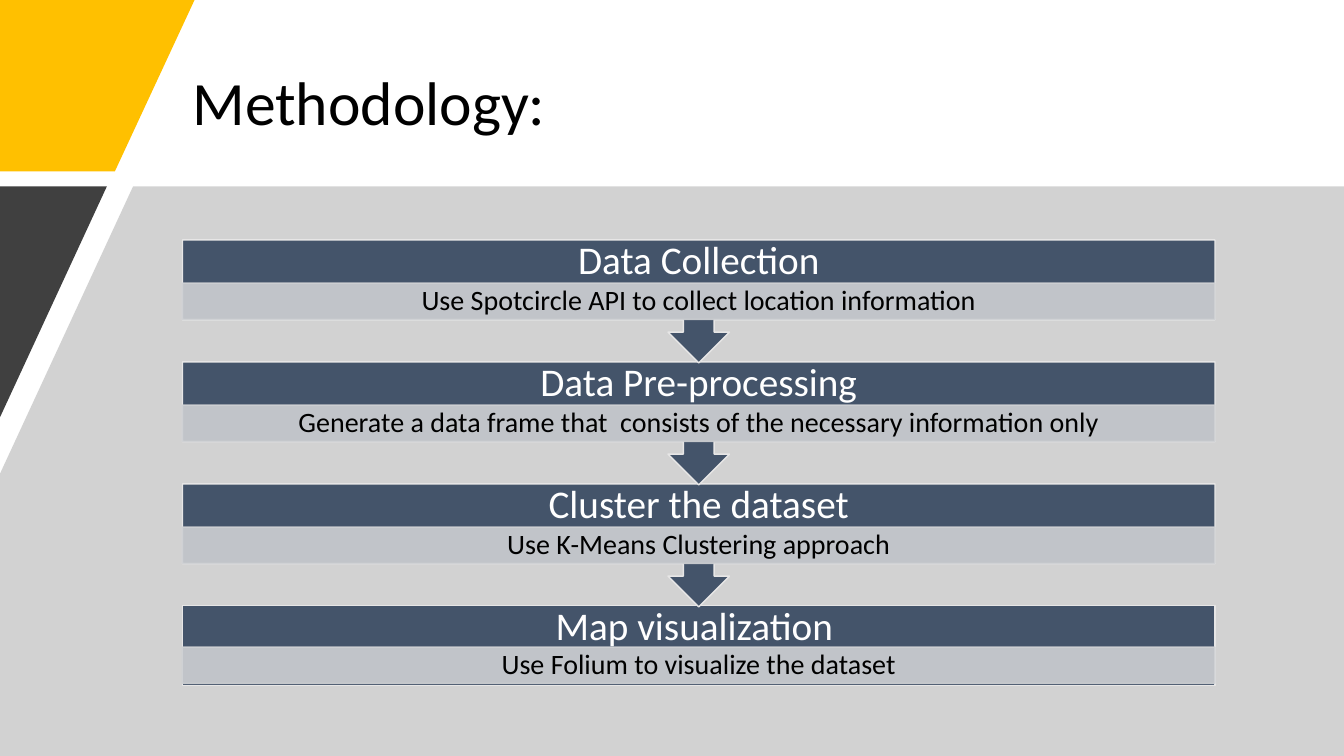
"""Build the Methodology slide: four steps joined by arrow callouts."""
from dataclasses import dataclass

from lxml.etree import SubElement
from pptx import Presentation
from pptx.dml.color import RGBColor
from pptx.enum.shapes import MSO_SHAPE as Preset
from pptx.enum.text import MSO_ANCHOR as Anchor, PP_ALIGN as Align
from pptx.oxml.ns import qn
from pptx.shapes.autoshape import Shape
from pptx.shapes.shapetree import SlideShapes
from pptx.util import Inches, Pt

LEFT, WIDTH = 1.81, 10.24
FIRST_TOP, PITCH = 2.38, 1.21
CALLOUT_HEIGHT, LAST_HEIGHT = 1.22, 0.79
HEADING_HEIGHT, DETAIL_HEIGHT = 0.43, 0.36
SLATE, PALE, RIM = "44546A", "CFD1D4", "E7E6E6"
BLACK, WHITE = "000000", "FFFFFF"


@dataclass(frozen=True)
class Step:
    heading: str
    detail: str
    detail_offset: float = HEADING_HEIGHT


@dataclass(frozen=True)
class Panel:
    points: tuple[tuple[float, float], ...]
    color: str
    opacity: int = 100


STEPS = (
    Step("Data Collection", "Use Spotcircle API to collect location information"),
    Step("Data Pre-processing",
         "Generate a data frame that  consists of the necessary information only"),
    Step("Cluster the dataset", "Use K-Means Clustering approach"),
    Step("Map visualization ", "Use Folium to visualize the dataset", 0.41),
)

PANELS = (
    Panel(((0, 0), (1.93, 0), (1.14, 1.7), (0, 1.7)), "FFC000"),
    Panel(((1.32, 1.85), (13.33, 1.85), (13.33, 7.5), (0, 7.5), (0, 4.7)), "A6A6A6", 50),
    Panel(((0, 1.85), (1.06, 1.85), (0, 4.14)), "404040"),
)


def rgb(color: str) -> RGBColor:
    return RGBColor.from_string(color)


def paint(shape: Shape, color: str, rim: str | None = None, opacity: int = 100) -> None:
    shape.shadow.inherit = False
    shape.fill.solid()
    shape.fill.fore_color.rgb = rgb(color)
    if rim:
        shape.line.color.rgb = rgb(rim)
        shape.line.width = Pt(1)
    else:
        shape.line.fill.background()
    if opacity < 100:
        for tint in list(shape.element.spPr.iter(qn("a:srgbClr"))):
            SubElement(tint, qn("a:alpha"), val=str(opacity * 1000))


def write(shape: Shape, text: str, size: float, color: str,
          align: Align = Align.CENTER, inset: float = 0.16) -> None:
    frame = shape.text_frame
    frame.word_wrap = True
    frame.vertical_anchor = Anchor.MIDDLE
    frame.margin_left = frame.margin_right = Inches(inset)
    frame.margin_top = frame.margin_bottom = Inches(0.03)
    paragraph = frame.paragraphs[0]
    paragraph.text = text
    paragraph.alignment = align
    paragraph.line_spacing = 0.9
    paragraph.font.name = "Calibri"
    paragraph.font.size = Pt(size)
    paragraph.font.color.rgb = rgb(color)


def draw_panel(shapes: SlideShapes, panel: Panel) -> None:
    start, *rest = [(Inches(x), Inches(y)) for x, y in panel.points]
    outline = shapes.build_freeform(*start)
    outline.add_line_segments(rest)
    paint(outline.convert_to_shape(), panel.color, opacity=panel.opacity)


def draw_step(shapes: SlideShapes, step: Step, top: float, is_last: bool) -> None:
    def row(y: float, height: float) -> tuple[int, int, int, int]:
        return Inches(LEFT), Inches(y), Inches(WIDTH), Inches(height)

    if is_last:
        block = shapes.add_shape(Preset.RECTANGLE, *row(top, LAST_HEIGHT))
    else:
        block = shapes.add_shape(Preset.UP_ARROW_CALLOUT, *row(top, CALLOUT_HEIGHT))
        block.rotation = 180
    paint(block, SLATE, RIM)
    heading = shapes.add_textbox(*row(top, HEADING_HEIGHT))
    write(heading, step.heading, 28, WHITE, inset=0.22)
    detail = shapes.add_shape(Preset.RECTANGLE, *row(top + step.detail_offset, DETAIL_HEIGHT))
    paint(detail, PALE, PALE, opacity=90)
    write(detail, step.detail, 20, BLACK)


def main() -> None:
    deck = Presentation()
    deck.slide_width, deck.slide_height = Inches(13.33), Inches(7.5)
    shapes = deck.slides.add_slide(deck.slide_layouts[6]).shapes
    title = shapes.add_textbox(Inches(LEFT), Inches(0.4), Inches(WIDTH), Inches(1.3))
    write(title, "Methodology:", 44, BLACK, Align.LEFT, inset=0.1)
    for panel in PANELS:
        draw_panel(shapes, panel)
    last = len(STEPS) - 1
    for index, step in reversed(list(enumerate(STEPS))):
        draw_step(shapes, step, FIRST_TOP + index * PITCH, index == last)
    deck.save("out.pptx")


if __name__ == "__main__":
    main()
